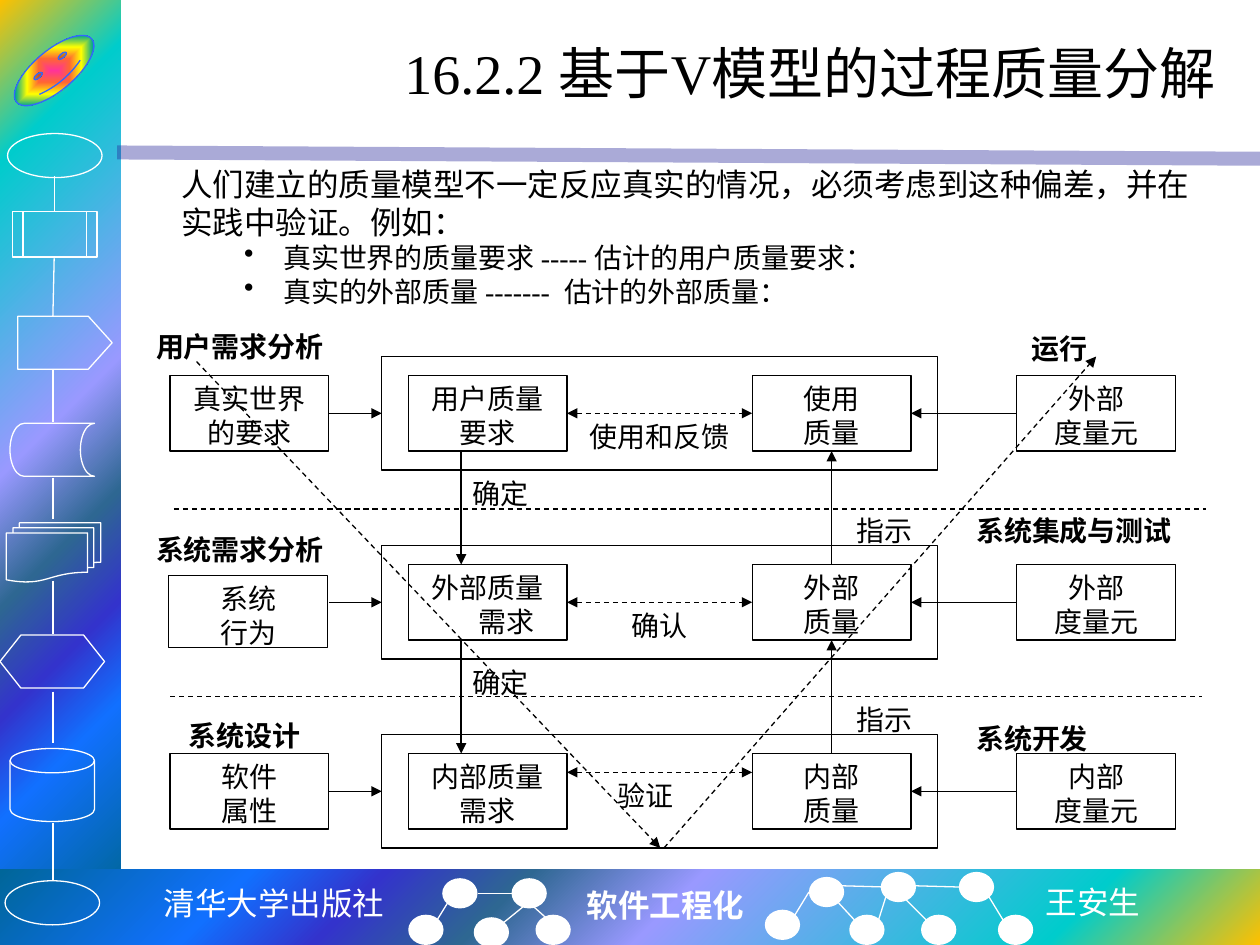
import pptx
import pptx.util
import pptx.oxml
import pptx.oxml.ns
import pptx.dml.color
import pptx.enum.dml
import pptx.enum.shapes
import pptx.enum.text
from lxml import etree

Inches = pptx.util.Inches
Pt = pptx.util.Pt
SHAPE = pptx.enum.shapes.MSO_SHAPE
ALIGN = pptx.enum.text.PP_ALIGN
ANCHOR = pptx.enum.text.MSO_ANCHOR
qn = pptx.oxml.ns.qn

COLORS = {"ink": "000000", "white": "FFFFFF", "rule": "262699", "badge": "3366FF"}
BAND_STOPS = [(0, "FFC000"), (16, "00CCCC"), (47, "9999FF"), (60, "2E6792"),
              (71, "3333CC"), (81, "1170FF"), (100, "006699")]
BADGE_STOPS = [(0, "FF3399"), (25, "FF6633"), (50, "FFFF00"), (75, "01A78F"),
               (100, "3366FF")]


def rgb(name):
    return pptx.dml.color.RGBColor.from_string(COLORS[name])


class Painter:
    """Holds the text style and the collection that receives new elements."""

    font = "Times New Roman"
    size = 16
    line_width = 0.75

    def __init__(self, page):
        self.page = page
        self.shapes = page.shapes

    def start_group(self):
        self.shapes = self.page.shapes.add_group_shape().shapes

    def format_para(self, para, size=None, color="ink", bold=False, font=None, align=None):
        para.alignment = align
        for span in para.runs:
            span.font.name = font or self.font
            span.font.size = Pt(size or self.size)
            span.font.bold = bold
            span.font.color.rgb = rgb(color)

    def set_text(self, frame, text, **style):
        frame.text = text
        for para in frame.paragraphs:
            self.format_para(para, **style)

    def shape(self, kind, left, top, width, height, fill=None, line=None):
        item = self.shapes.add_shape(kind, Inches(left), Inches(top),
                                     Inches(width), Inches(height))
        item.shadow.inherit = False
        if fill:
            item.fill.solid()
            item.fill.fore_color.rgb = rgb(fill)
        else:
            item.fill.background()
        if line:
            item.line.color.rgb = rgb(line)
            item.line.width = Pt(self.line_width)
        else:
            item.line.fill.background()
        return item

    def gradient(self, item, stops, route, focus):
        """Swap the empty fill for a path gradient; focus is left, top, right, bottom."""
        marks = "".join(f'<a:gs pos="{place * 1000}"><a:srgbClr val="{color}"/></a:gs>'
                        for place, color in stops)
        sides = " ".join(f'{side}="{value * 1000}"' for side, value in zip("ltrb", focus))
        fill = pptx.oxml.parse_xml(
            f'<a:gradFill {pptx.oxml.ns.nsdecls("a")} rotWithShape="1">'
            f'<a:gsLst>{marks}</a:gsLst><a:path path="{route}">'
            f'<a:fillToRect {sides}/></a:path></a:gradFill>')
        properties = item._element.spPr
        properties.replace(properties.find(qn("a:noFill")), fill)

    def box(self, text, left, top, width=1.26, height=0.6, fill=None):
        item = self.shape(SHAPE.RECTANGLE, left, top, width, height, fill, "ink")
        item.text_frame.vertical_anchor = ANCHOR.TOP
        self.set_text(item.text_frame, text, align=ALIGN.CENTER)
        return item

    def label(self, text, left, top, width, height=0.3, wrap=True, **style):
        item = self.shapes.add_textbox(Inches(left), Inches(top),
                                       Inches(width), Inches(height))
        item.text_frame.word_wrap = wrap
        self.set_text(item.text_frame, text, **style)
        return item

    def line(self, x1, y1, x2, y2, color="ink", width=None, dash=False, ends=()):
        item = self.shapes.add_connector(pptx.enum.shapes.MSO_CONNECTOR.STRAIGHT,
                                         Inches(x1), Inches(y1), Inches(x2), Inches(y2))
        item.line.color.rgb = rgb(color)
        item.line.width = Pt(width or self.line_width)
        if dash:
            item.line.dash_style = pptx.enum.dml.MSO_LINE.DASH
        stroke = item.line._get_or_add_ln()
        for end in ends:
            etree.SubElement(stroke, qn(f"a:{end}End"), type="triangle")
        etree.SubElement(item._element.spPr, qn("a:effectLst"))
        return item


def draw_bands(painter):
    for area, focus in (((0, 0, 0.96, 7.09), (0, 0, 100, 100)),
                        ((0, 6.9, 10, 0.6), (100, 100, 0, 0))):
        band = painter.shape(SHAPE.RECTANGLE, *area)
        painter.gradient(band, BAND_STOPS, "circle", focus)
    rule = painter.line(0.93, 1.21, 10, 1.26, "rule", 8)
    color = rule._element.spPr.find(".//" + qn("a:srgbClr"))
    etree.SubElement(color, qn("a:alpha"), val="39000")


def draw_sidebar(painter):
    badge = painter.shape(SHAPE.SMILEY_FACE, 0.04, 0.4, 0.78, 0.32, line="badge")
    badge.adjustments[0] = 0.047
    badge.rotation = -40
    painter.gradient(badge, BADGE_STOPS, "shape", (50, 50, 50, 50))
    for kind, *area in ((SHAPE.OVAL, 0.06, 1.06, 0.75, 0.35),
                        (SHAPE.FLOWCHART_PREDEFINED_PROCESS, 0.1, 1.68, 0.67, 0.36),
                        (SHAPE.PENTAGON, 0.14, 2.51, 0.75, 0.42),
                        (SHAPE.FLOWCHART_STORED_DATA, 0.08, 3.36, 0.67, 0.42),
                        (SHAPE.FLOWCHART_MULTIDOCUMENT, 0.05, 4.15, 0.75, 0.47),
                        (SHAPE.FLOWCHART_PREPARATION, 0, 5.04, 0.83, 0.42),
                        (SHAPE.FLOWCHART_MAGNETIC_DISK, 0.08, 5.94, 0.67, 0.58),
                        (SHAPE.OVAL, 0.04, 6.99, 0.75, 0.35)):
        symbol = painter.shape(kind, *area, line="white")
        if kind == SHAPE.PENTAGON:
            symbol.adjustments[0] = 0.45
    for x1, y1, x2, y2 in ((0.43, 1.4, 0.43, 1.68), (0.43, 2.05, 0.42, 2.51),
                           (0.42, 2.93, 0.42, 3.35), (0.42, 3.79, 0.42, 4.12),
                           (0.42, 4.61, 0.42, 5.03), (0.42, 5.49, 0.42, 5.9),
                           (0.42, 6.53, 0.42, 6.99)):
        painter.line(x1, y1, x2, y2, "white")


def draw_footer(painter):
    for text, left, top, width, style in (
            ("清华大学出版社", 1.19, 6.97, 1.97,
             {"font": "DejaVu Sans Mono", "align": ALIGN.CENTER}),
            ("软件工程化", 4.56, 6.98, 1.46, {"bold": True}),
            ("王安生", 8.2, 6.96, 0.96, {"font": "Noto Sans CJK SC"})):
        painter.label(text, left, top, width, 0.4, wrap=False, size=18,
                      color="white", **style)
    for left, top in ((3.51, 6.97), (4.06, 6.97), (3.24, 7.26), (3.76, 7.28), (4.25, 7.26),
                      (6.42, 6.96), (6.99, 6.92), (7.61, 6.92), (6.07, 7.22),
                      (6.74, 7.26), (7.31, 7.26), (7.92, 7.26)):
        painter.shape(SHAPE.OVAL, left, top, 0.28, 0.24, fill="white")
    for ends in ((3.47, 7.3, 3.55, 7.17), (4, 7.32, 4.16, 7.19), (4.06, 7.09, 3.79, 7.09),
                 (4.34, 7.29, 4.24, 7.2), (6.31, 7.26, 6.42, 7.08), (6.78, 7.3, 6.65, 7.16),
                 (6.97, 7.31, 7.03, 7.12), (7.35, 7.3, 7.15, 7.1), (7.96, 7.3, 7.85, 7.12),
                 (6.68, 7.03, 7.03, 7.04), (7.26, 7.03, 7.61, 7.04)):
        painter.line(*ends, "white")


def draw_v_model(painter):
    painter.start_group()
    tops = [2.98 + 1.5 * row for row in range(3)]
    rows = (("真实世界\n的要求", "用户质量\n要求", "使用\n质量", "外部\n度量元"),
            ("系统\n行为", "外部质量\n需求", "外部\n质量", "外部\n度量元"),
            ("软件\n属性", "内部质量\n需求", "内部\n质量", "内部\n度量元"))
    checks = (("使用和反馈", 4.5, 1.47, 3.28), ("确认", 4.71, 1.05, 4.78),
              ("验证", 4.6, 1.05, 6.13))
    for row, (top, texts, check) in enumerate(zip(tops, rows, checks)):
        middle = top + 0.3
        painter.shape(SHAPE.RECTANGLE, 3.03, top - 0.15, 4.41, 0.9, line="ink")
        painter.line(2.61, middle, 3.03, middle, ends=["tail"])
        painter.line(8.07, middle, 7.23, middle, ends=["tail"])
        for column, (text, left) in enumerate(zip(texts, (1.35, 3.24, 5.97, 8.07))):
            if (row, column) == (1, 0):
                painter.box(text, 1.34, 4.57, height=0.57, fill="white")
                continue
            box = painter.box(text, left, top)
            if (row, column) == (1, 1):
                second = box.text_frame.paragraphs[1]
                second._p.get_or_add_pPr().set("indent", str(Inches(0.3)))
        text, left, width, level = check
        painter.line(4.5, level, 5.97, level, dash=True, ends=["head", "tail"])
        painter.label(text, left, level, width, align=ALIGN.CENTER)

    for top, below in zip(tops, tops[1:]):
        painter.line(3.66, top + 0.6, 3.66, below, ends=["tail"])
        painter.line(6.6, below, 6.6, top + 0.6, ends=["tail"])
        painter.label("确定", 3.24, top + 0.75, 1.47, align=ALIGN.CENTER)
        painter.label("指示", 6.6, below - 0.45, 0.84, 0.45, align=ALIGN.CENTER)
    for left, level in ((1.38, 4.04), (1.35, 5.53)):
        painter.line(left, level, left + 8.19, level, dash=True)
    for text, left, top, width in (
            ("用户需求分析", 1.14, 2.57, 1.64), ("系统需求分析", 1.14, 4.18, 1.64),
            ("系统设计", 1.4, 5.65, 1.26), ("运行", 8.09, 2.58, 1.26),
            ("系统集成与测试", 7.65, 4.03, 1.89), ("系统开发", 7.65, 5.68, 1.26)):
        painter.label(text, left, top, width, bold=True)
    for ends in ((1.56, 2.87, 5.24, 6.73), (5.27, 6.73, 8.7, 2.83)):
        painter.line(*ends, dash=True, ends=["tail"])
    painter.shapes = painter.page.shapes


def add_title(painter):
    title = painter.page.shapes.title
    title.left, title.top, title.width, title.height = map(Inches, (1.25, 0.17, 8.5, 0.81))
    title.text_frame.vertical_anchor = ANCHOR.MIDDLE
    painter.set_text(title.text_frame, "16.2.2 基于V模型的过程质量分解",
                     size=32, align=ALIGN.RIGHT)


def add_intro(painter):
    intro = painter.label("人们建立的质量模型不一定反应真实的情况，必须考虑到这种偏差，并在实践中验证。例如：\n"
                          "真实世界的质量要求 ----- 估计的用户质量要求：\n"
                          "真实的外部质量 -------  估计的外部质量：", 1.34, 1.26, 8.33, 1.25)
    lead, *points = intro.text_frame.paragraphs
    painter.format_para(lead, size=18)
    for para in points:
        para.level = 1
        properties = para._p.get_or_add_pPr()
        properties.set("marL", str(Inches(0.81)))
        properties.set("indent", str(Inches(-0.31)))
        etree.SubElement(properties, qn("a:buChar"), char="•")


def main():
    deck = pptx.Presentation()
    deck.slide_width, deck.slide_height = Inches(10), Inches(7.5)
    painter = Painter(deck.slides.add_slide(deck.slide_layouts[5]))
    for draw in (draw_bands, draw_sidebar, draw_footer, add_title, draw_v_model, add_intro):
        draw(painter)
    deck.save("out.pptx")


if __name__ == "__main__":
    main()
